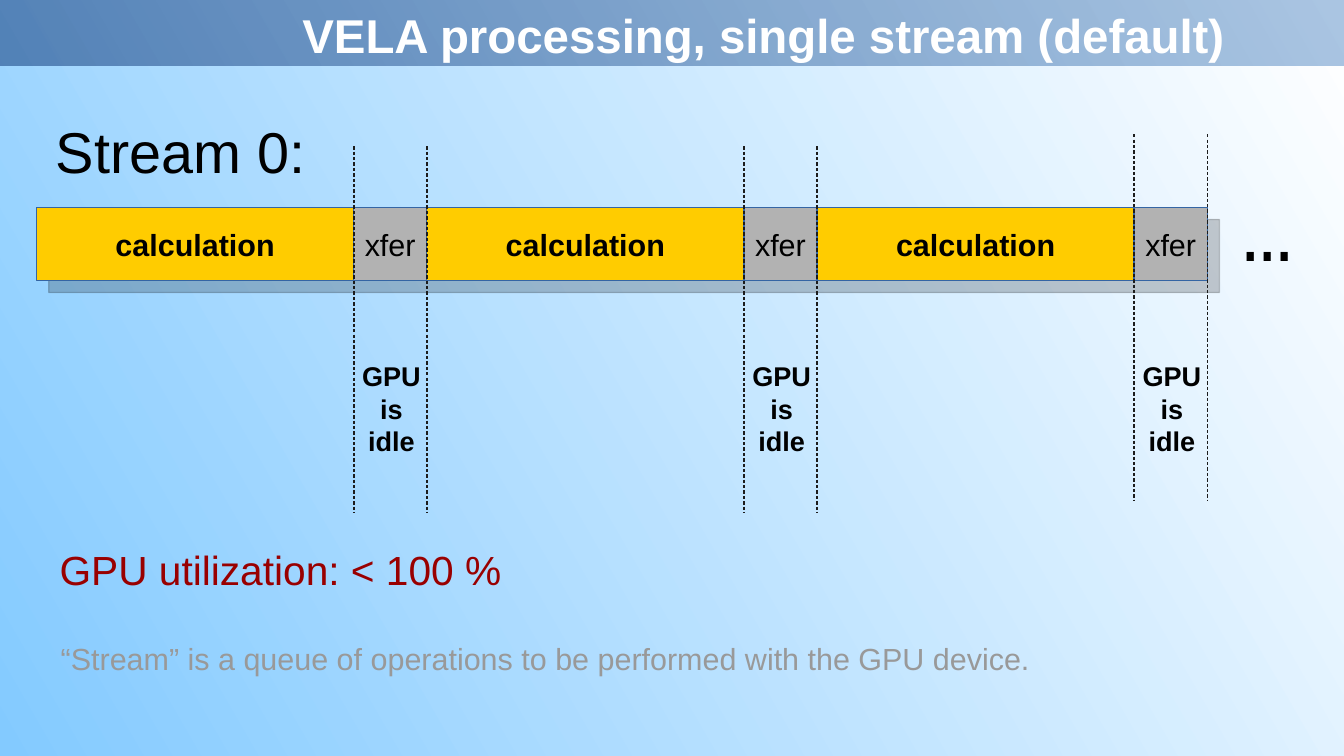
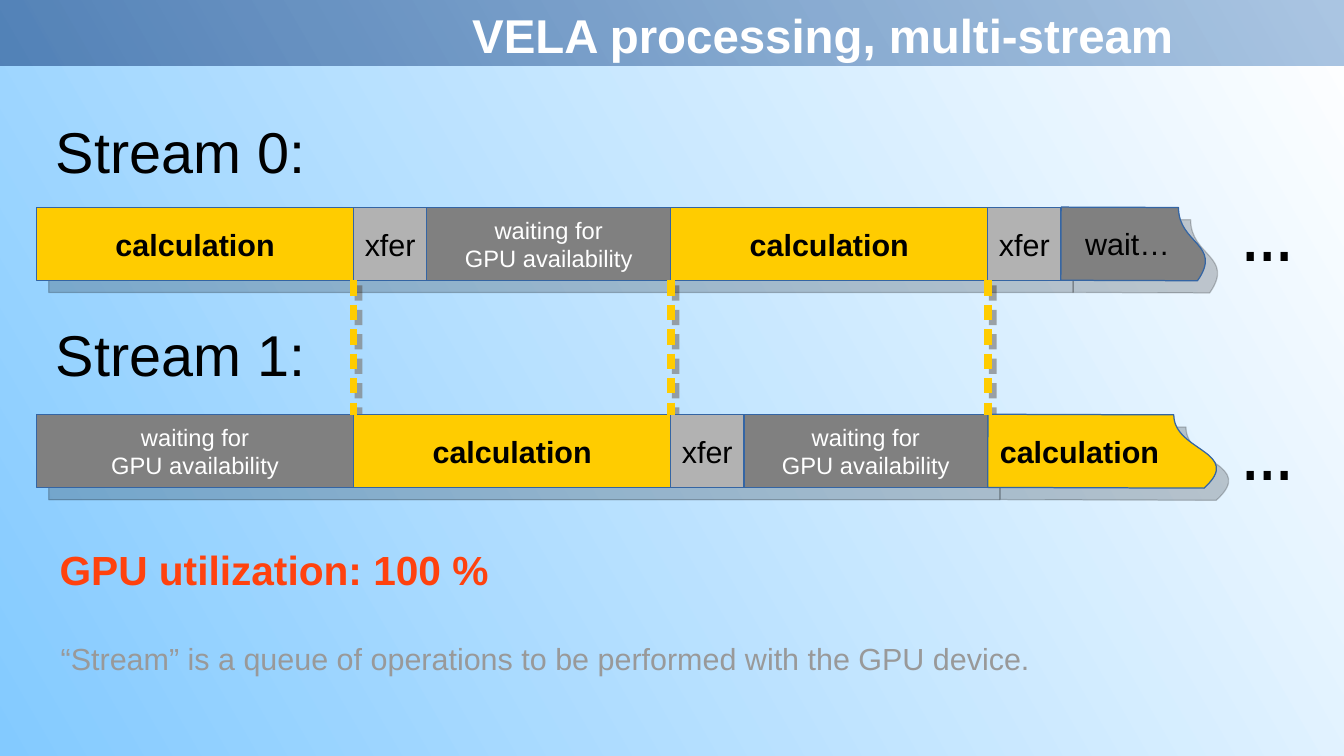
"""Build two slides that compare single-stream and multi-stream GPU processing."""
from dataclasses import dataclass
from typing import Any, NamedTuple, Optional

from lxml.etree import SubElement
from pptx import Presentation
from pptx.dml.color import RGBColor
from pptx.enum.shapes import MSO_CONNECTOR as Connector, MSO_SHAPE as Preset
from pptx.enum.text import MSO_ANCHOR as Anchor, MSO_AUTO_SIZE as AutoSize, PP_ALIGN as Align
from pptx.oxml.ns import qn
from pptx.util import Pt


@dataclass(frozen=True)
class Theme:
    """Colours, fonts and type sizes."""
    white: str = "FFFFFF"
    black: str = "000000"
    sky: str = "83CAFF"
    band_light: str = "729FCF"
    band_dark: str = "204A87"
    outline: str = "3465A4"
    yellow: str = "FFCC00"
    silver: str = "B2B2B2"
    gray: str = "808080"
    guide: str = "1C1C1C"
    dark_red: str = "990000"
    orange: str = "FF420E"
    note_gray: str = "999999"
    body: str = "Arial"
    mono: str = "Courier New"
    title_size: float = 28
    heading_size: float = 34
    result_size: float = 24
    label_size: float = 18
    idle_size: float = 16
    wait_size: float = 14
    dots_size: float = 50


THEME = Theme()


class Box(NamedTuple):
    """A frame in points."""
    left: float
    top: float
    width: float
    height: float


class TextStyle(NamedTuple):
    """How a text looks."""
    size: float
    color: str = THEME.black
    bold: bool = False
    font: str = THEME.body
    align: Align = Align.LEFT


class Block(NamedTuple):
    """One step of a stream."""
    label: str
    width: float
    fill: str
    style: TextStyle


class Tail(NamedTuple):
    """The torn end of a stream and its label."""
    width: float
    fill: str
    label: str
    label_box: Box
    bold: bool


class Lane(NamedTuple):
    """A stream: heading, blocks and what follows them."""
    heading: str
    heading_top: float
    top: float
    dots_top: float
    blocks: list[Block]
    tail: Optional[Tail] = None

    @property
    def end(self) -> float:
        """Return the right edge of the last block."""
        return LANE_LEFT + sum(block.width for block in self.blocks)


class Dash(NamedTuple):
    """A dashed vertical line."""
    left: float
    top: float
    bottom: float
    color: str
    width: float
    opacity: int = 100


SLIDE_WIDTH, SLIDE_HEIGHT = 793.44, 446.4
LANE_LEFT, LANE_HEIGHT = 21.6, 43.2
LONG, MEDIUM, SHORT = 187.2, 144, 43.2
SHADOW_OFFSET = 7.2
SHADOW_OPACITY = 20
GRADIENT_ANGLE = 210
TAIL_ROTATION = 270.2
TOP_LANE, LOW_LANE = 122.4, 244.8

LABEL = TextStyle(THEME.label_size, align=Align.CENTER)
BOLD_LABEL = LABEL._replace(bold=True)
WAIT_LABEL = LABEL._replace(size=THEME.wait_size, color=THEME.white)
TITLE = TextStyle(THEME.title_size, THEME.white, True, align=Align.CENTER)
HEADING = TextStyle(THEME.heading_size)
DOTS = TextStyle(THEME.dots_size, font=THEME.mono)
IDLE = TextStyle(THEME.idle_size, bold=True, align=Align.CENTER)
NOTE = TextStyle(THEME.label_size, THEME.note_gray)

CALCULATION = Block("calculation", LONG, THEME.yellow, BOLD_LABEL)
TRANSFER = Block("xfer", SHORT, THEME.silver, LABEL)
WAITING = Block("waiting for\nGPU availability", MEDIUM, THEME.gray, WAIT_LABEL)


def apply(target: Any, values: dict[str, Any]) -> None:
    """Set attributes from a dict."""
    for name, value in values.items():
        setattr(target, name, value)


def set_opacity(shape: Any, percent: int) -> None:
    """Make every colour of a shape's fill and line translucent."""
    for color in shape.element.spPr.iter(qn("a:srgbClr")):
        SubElement(color, qn("a:alpha"), val=str(percent * 1000))


def paint_gradient(fill: Any, first: str, last: str) -> None:
    """Apply the slanted two-colour gradient."""
    fill.gradient()
    fill.gradient_angle = GRADIENT_ANGLE
    for stop, color, position in zip(fill.gradient_stops, (first, last), (0, 1)):
        stop.color.rgb = RGBColor.from_string(color)
        stop.position = position


def write(shape: Any, text: str, style: TextStyle, **frame_format: Any) -> None:
    """Write one paragraph for each line of text."""
    frame = shape.text_frame
    apply(frame, {"margin_left": Pt(7.2), "margin_right": Pt(7.2),
                  "margin_top": Pt(3.6), "margin_bottom": Pt(3.6), **frame_format})
    for index, line in enumerate(text.split("\n")):
        paragraph = frame.add_paragraph() if index else frame.paragraphs[0]
        paragraph.alignment = style.align
        run = paragraph.add_run()
        run.text = line
        apply(run.font, {"name": style.font, "size": Pt(style.size), "bold": style.bold})
        run.font.color.rgb = RGBColor.from_string(style.color)


def add_text(slide: Any, box: Box, text: str, style: TextStyle, wrap: bool = False) -> None:
    """Add a text box."""
    shape = slide.shapes.add_textbox(*map(Pt, box))
    write(shape, text, style, word_wrap=wrap, auto_size=AutoSize.SHAPE_TO_FIT_TEXT)


def add_block(slide: Any, box: Box, fill: str, line: str = THEME.outline,
              preset: Preset = Preset.RECTANGLE) -> Any:
    """Add a filled shape with a hairline outline."""
    shape = slide.shapes.add_shape(preset, *map(Pt, box))
    shape.shadow.inherit = False
    shape.fill.solid()
    shape.fill.fore_color.rgb = RGBColor.from_string(fill)
    shape.line.color.rgb = RGBColor.from_string(line)
    shape.line.width = Pt(0)
    return shape


def add_tail(slide: Any, box: Box, fill: str, line: str = THEME.outline) -> Any:
    """Add a document shape turned on its side so that it fills the box."""
    left = box.left + (box.width - box.height) / 2
    top = box.top - (box.width - box.height) / 2
    turned = Box(left, top, box.height, box.width)
    shape = add_block(slide, turned, fill, line, Preset.FLOWCHART_DOCUMENT)
    shape.rotation = TAIL_ROTATION
    return shape


def add_dash(slide: Any, dash: Dash) -> None:
    """Add a dashed vertical line."""
    ends = (dash.left, dash.top, dash.left, dash.bottom)
    connector = slide.shapes.add_connector(Connector.STRAIGHT, *map(Pt, ends))
    connector.line.color.rgb = RGBColor.from_string(dash.color)
    connector.line.width = Pt(dash.width)
    properties = connector.element.spPr
    pattern = SubElement(properties.find(qn("a:ln")), qn("a:custDash"))
    SubElement(pattern, qn("a:ds"), d="200000", sp="120000")
    SubElement(properties, qn("a:effectLst"))
    if dash.opacity < 100:
        set_opacity(connector, dash.opacity)


def add_lane_shadow(slide: Any, lane: Lane) -> None:
    """Add the offset shadow of a stream."""
    left, top = LANE_LEFT + SHADOW_OFFSET, lane.top + SHADOW_OFFSET
    bar = Box(left, top, lane.end - LANE_LEFT, LANE_HEIGHT)
    shadows = [add_block(slide, bar, THEME.black, THEME.black)]
    if lane.tail:
        end = Box(lane.end + SHADOW_OFFSET, top, lane.tail.width, LANE_HEIGHT)
        shadows.append(add_tail(slide, end, THEME.black, THEME.black))
    for shadow in shadows:
        set_opacity(shadow, SHADOW_OPACITY)


def add_lane(slide: Any, lane: Lane) -> None:
    """Add a stream with its heading, blocks, tail and dots."""
    left = LANE_LEFT
    for block in lane.blocks:
        shape = add_block(slide, Box(left, lane.top, block.width, LANE_HEIGHT), block.fill)
        write(shape, block.label, block.style, word_wrap=False, vertical_anchor=Anchor.MIDDLE)
        left += block.width
    if lane.tail:
        add_tail(slide, Box(left, lane.top, lane.tail.width, LANE_HEIGHT), lane.tail.fill)
        style = TextStyle(THEME.label_size, bold=lane.tail.bold)
        add_text(slide, lane.tail.label_box, lane.tail.label, style)
    add_text(slide, Box(726, lane.dots_top, 46, 65.52), "…", DOTS)
    add_text(slide, Box(25.92, lane.heading_top, 175, 45.36), lane.heading, HEADING)


def add_stream_slide(presentation: Any, title: str, title_indent: float, lanes: list[Lane],
                     result: str, result_style: TextStyle, dashes: list[Dash],
                     back_dashes: list[Dash]) -> Any:
    """Add a slide with band, streams, lines, result and note."""
    slide = presentation.slides.add_slide(presentation.slide_layouts[6])
    for dash in back_dashes:
        add_dash(slide, dash)
    for lane in lanes:
        add_lane_shadow(slide, lane)
    band = add_block(slide, Box(0, 0, SLIDE_WIDTH, 38.88), THEME.band_light)
    band.line.fill.background()
    paint_gradient(band.fill, THEME.band_light, THEME.band_dark)
    set_opacity(band, 60)
    write(band, title, TITLE, margin_left=Pt(title_indent), vertical_anchor=Anchor.TOP)
    for lane in lanes:
        add_lane(slide, lane)
    for dash in dashes:
        add_dash(slide, dash)
    add_text(slide, Box(28.08, 318.24, 275, 33.84), result, result_style)
    add_text(slide, Box(28.8, 374.4, 727.2, 36),
             "“Stream” is a queue of operations to be performed with the GPU device.", NOTE, True)
    return slide


def main() -> None:
    """Build and save the presentation."""
    presentation = Presentation()
    apply(presentation, {"slide_width": Pt(SLIDE_WIDTH), "slide_height": Pt(SLIDE_HEIGHT)})
    paint_gradient(presentation.slide_master.background.fill, THEME.white, THEME.sky)

    single = Lane("Stream 0:", 64.8, TOP_LANE, 100.8, [CALCULATION, TRANSFER] * 3)
    idle_starts = [LANE_LEFT + LONG + index * (LONG + SHORT) for index in range(3)]
    guides = [Dash(start + side, top, top + 216, THEME.guide, 1)
              for start, top in zip(idle_starts, (86.4, 86.4, 79.2)) for side in (0, SHORT)]
    slide = add_stream_slide(presentation, "VELA processing, single stream (default)", 115,
                             [single], "GPU utilization: < 100 %",
                             TextStyle(THEME.result_size, THEME.dark_red), guides, [])
    for start in idle_starts:
        add_text(slide, Box(start - 2.88, 208.8, 50.4, 61.2), "GPU\nis\nidle", IDLE, True)

    lanes = [
        Lane("Stream 0:", 64.8, TOP_LANE, 100.8,
             [CALCULATION, TRANSFER, WAITING, CALCULATION, TRANSFER],
             Tail(86.4, THEME.gray, "wait…", Box(633.6, 129.6, 75, 27.36), False)),
        Lane("Stream 1:", 185.04, LOW_LANE, 230.4,
             [WAITING._replace(width=LONG), CALCULATION, TRANSFER, WAITING],
             Tail(136.8, THEME.yellow, "calculation", Box(583.2, 252, 125, 27.36), True)),
    ]
    handovers = [LANE_LEFT + LONG * count for count in (1, 2, 3)]
    links = [Dash(left, TOP_LANE + LANE_HEIGHT, LOW_LANE, THEME.yellow, 4.5)
             for left in handovers]
    link_shadows = [Dash(left + 2.88, 154.08, 252, THEME.gray, 4.5, 70) for left in handovers]
    add_stream_slide(presentation, "VELA processing, multi-stream", 185, lanes,
                     "GPU utilization: 100 %",
                     TextStyle(THEME.result_size, THEME.orange, True), links, link_shadows)
    presentation.save("out.pptx")


if __name__ == "__main__":
    main()
